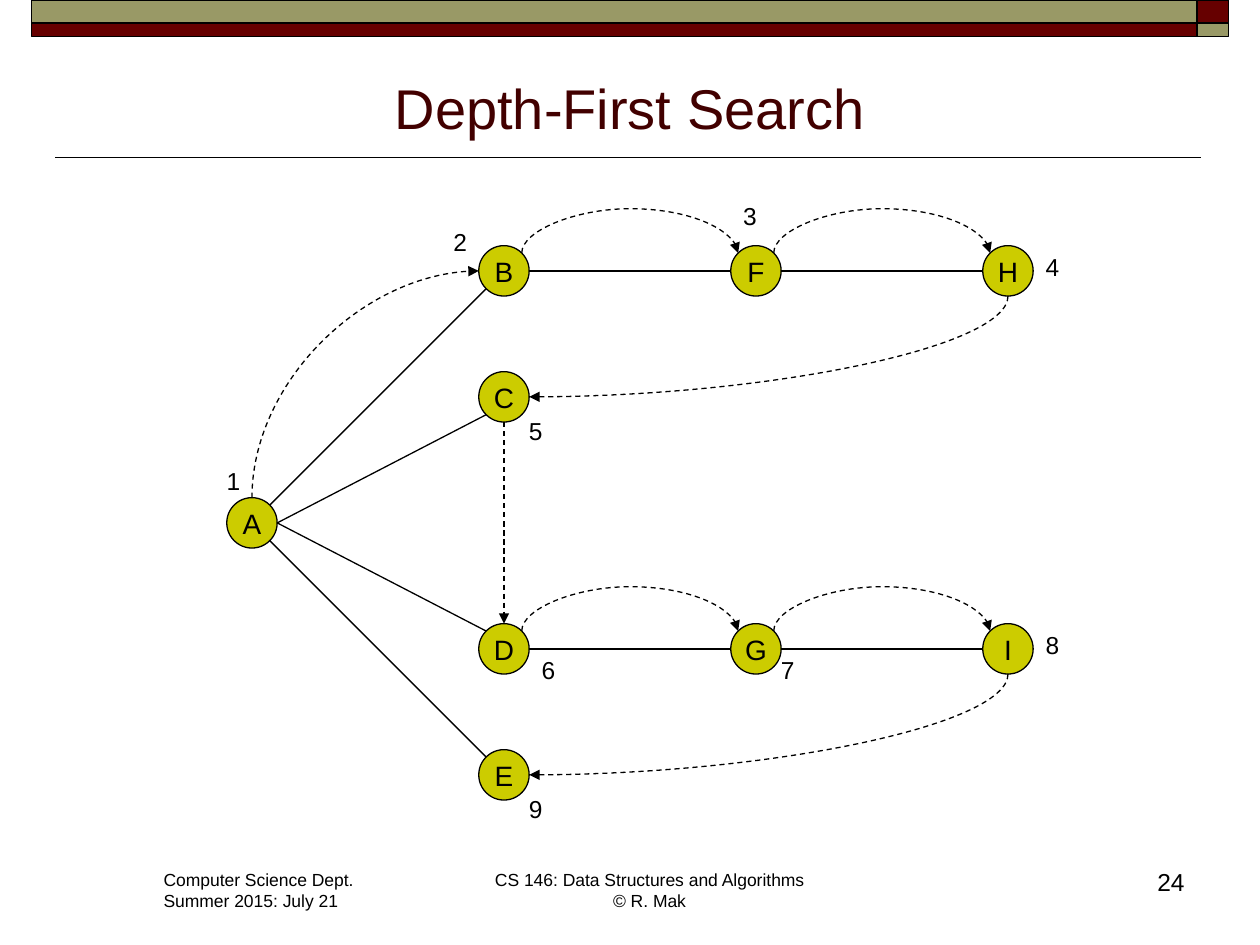
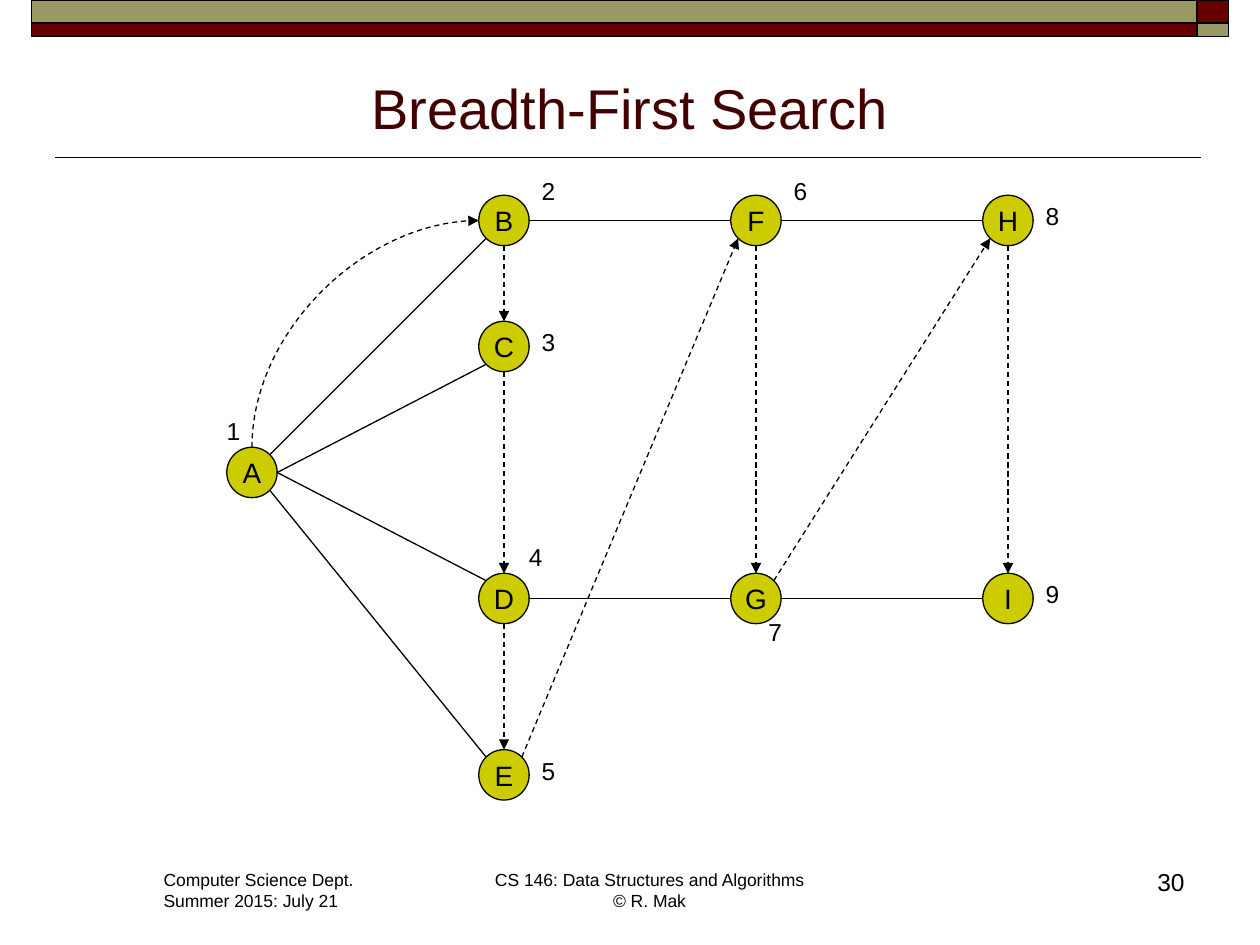
from math import cos, radians, sin

from lxml import etree
from pptx import Presentation
from pptx.dml.color import RGBColor
from pptx.enum.dml import MSO_LINE
from pptx.enum.shapes import MSO_CONNECTOR, MSO_SHAPE
from pptx.enum.text import MSO_ANCHOR, PP_ALIGN
from pptx.oxml.ns import qn
from pptx.util import Inches, Pt

BLACK = RGBColor(0x00, 0x00, 0x00)
MAROON = RGBColor(0x66, 0x00, 0x00)
KHAKI = RGBColor(0x99, 0x99, 0x66)
TITLE_COLOR = RGBColor(0x42, 0x00, 0x00)
NODE_COLOR = RGBColor(0xCC, 0xCC, 0x00)
FONT = "Arial"

STRAIGHT, CURVE = MSO_CONNECTOR.STRAIGHT, MSO_CONNECTOR.CURVE
RECT, OVAL = MSO_SHAPE.RECTANGLE, MSO_SHAPE.OVAL
LEFT, CENTER, RIGHT = PP_ALIGN.LEFT, PP_ALIGN.CENTER, PP_ALIGN.RIGHT

# Graph grid, in inches
COL, ROW, RADIUS = 2, 1, 0.2
GRAPH_LEFT = 2
ARC_RISE, ARC_DEPTH = Inches(0.31), Pt(0.1)

# Connection sites of an ellipse, counter-clockwise from the top
SITES = ["N", "NW", "W", "SW", "S", "SE", "E", "NE"]

# Node: (column, row)
NODES = {"A": (0, 2), "B": (1, 0), "F": (2, 0), "H": (3, 0), "C": (1, 1),
         "D": (1, 3), "G": (2, 3), "I": (3, 3), "E": (1, 4)}
EDGES = ["A.NE B.SW", "A.E C.SW", "A.E D.NW", "A.SE E.NW",
         "B.E F.W", "F.E H.W", "D.E G.W", "G.E I.W"]

# Visits: node and offset of its number from the node's centre
DFS_VISITS = [("A", -0.3, -0.5), ("B", -0.5, -0.4), ("F", -0.2, -0.6),
              ("H", 0.2, -0.2), ("C", 0.1, 0.1), ("D", 0.2, 0),
              ("G", 0.1, 0), ("I", 0.2, -0.2), ("E", 0.1, 0.1)]
BFS_VISITS = [("A", -0.3, -0.5), ("B", 0.2, -0.4), ("C", 0.2, -0.2),
              ("D", 0.1, -0.5), ("E", 0.2, -0.2), ("F", 0.2, -0.4),
              ("G", 0, 0.1), ("H", 0.2, -0.2), ("I", 0.2, -0.2)]

# Steps: form of the arrow and its ends
DFS_STEPS = [("quarter", "A.N B.W"), ("arc", "B.NE F.NW"),
             ("arc", "F.NE H.NW"), ("quarter", "H.S C.E"),
             ("line", "C.S D.N"), ("arc", "D.NE G.NW"),
             ("arc", "G.NE I.NW"), ("quarter", "I.S E.E")]
BFS_STEPS = [("quarter", "A.N B.W"), ("line", "B.S C.N"),
             ("line", "C.S D.N"), ("line", "D.S E.N"),
             ("line", "E.NE F.SW"), ("line", "F.S G.N"),
             ("line", "G.NE H.SW"), ("line", "H.S I.N")]


def format_text(tf, text, size, color=BLACK, align=LEFT):
    tf.text = text
    for p in tf.paragraphs:
        p.alignment = align
        p.font.name, p.font.size, p.font.color.rgb = FONT, Pt(size), color


def add_text(s, box, text, size, align=LEFT, wrap=True):
    tf = s.shapes.add_textbox(*map(Inches, box)).text_frame
    tf.word_wrap = wrap
    format_text(tf, text, size, align=align)


def add_filled(s, kind, box, fill, weight):
    sp = s.shapes.add_shape(kind, *map(Inches, box))
    sp.shadow.inherit = False
    sp.fill.solid()
    sp.fill.fore_color.rgb = fill
    sp.line.color.rgb, sp.line.width = BLACK, Pt(weight)
    return sp


def add_line(s, kind, start, end, weight):
    c = s.shapes.add_connector(kind, *start, *end)
    c.line.color.rgb, c.line.width = BLACK, Pt(weight)
    etree.SubElement(c.element.spPr, qn("a:effectLst"))
    return c


def site_point(node, site):
    """Point of a named connection site on a node's outline."""
    angle = radians(-90 - 45 * SITES.index(site))
    r = node.width / 2
    return (round(node.left + r + r * cos(angle)),
            round(node.top + r + r * sin(angle)))


def turn(c, degrees, preset):
    c.element.spPr.xfrm.set("rot", str(degrees * 60000))
    geom = c.element.spPr.find(qn("a:prstGeom"))
    geom.set("prst", preset)
    return geom


def add_quarter(s, start, end):
    """Quarter curve that leaves vertically and arrives horizontally."""
    (x1, y1), (x2, y2) = start, end
    w, h = abs(y2 - y1), abs(x2 - x1)
    left, top = (x1 + x2 - w) // 2, (y1 + y2 - h) // 2
    c = add_line(s, CURVE, (left, top), (left + w, top + h), 0.75)
    turn(c, 270 if y2 < y1 else 90, "curvedConnector2")
    return c


def add_arc(s, start, end):
    """Arc that rises over the gap between two nodes of a row."""
    (x1, y1), (x2, _) = start, end
    span = x2 - x1
    left, top = (x1 + x2 - ARC_DEPTH) // 2, y1 - span // 2
    c = add_line(s, CURVE, (left, top), (left + ARC_DEPTH, top + span), 0.75)
    geom = turn(c, 90, "curvedConnector3")
    c.element.spPr.xfrm.set("flipV", "1")
    guides = geom.find(qn("a:avLst"))
    rise = -round(ARC_RISE / ARC_DEPTH * 100000)
    etree.SubElement(guides, qn("a:gd"), name="adj1", fmla=f"val {rise}")
    return c


def join(s, nodes, ends, form="line"):
    """Connector glued to the sites named like 'A.NE B.SW'."""
    (a, a_site), (b, b_site) = [end.split(".") for end in ends.split()]
    start, end = site_point(nodes[a], a_site), site_point(nodes[b], b_site)
    if form == "quarter":
        c = add_quarter(s, start, end)
    elif form == "arc":
        c = add_arc(s, start, end)
    else:
        c = add_line(s, STRAIGHT, start, end, 0.75)
    glue = c.element.find(qn("p:nvCxnSpPr")).find(qn("p:cNvCxnSpPr"))
    for tag, name, site in (("a:stCxn", a, a_site), ("a:endCxn", b, b_site)):
        etree.SubElement(glue, qn(tag), id=str(nodes[name].shape_id),
                         idx=str(SITES.index(site)))
    return c


def add_frame(s, title, number):
    # Bands and rule
    for left, width, colors in ((0.25, 9.25, (KHAKI, MAROON)),
                                (9.5, 0.25, (MAROON, KHAKI))):
        for top, height, color in zip((0, 0.18), (0.18, 0.11), colors):
            add_filled(s, RECT, (left, top, width, height), color, 1)
    add_line(s, STRAIGHT, (Inches(0.44), Inches(1.25)),
             (Inches(9.53), Inches(1.25)), 1)
    # Title
    t = s.shapes.title
    t.left, t.top, t.width, t.height = map(Inches, (0.5, 0.45, 9, 0.72))
    t.text_frame.vertical_anchor = MSO_ANCHOR.BOTTOM
    format_text(t.text_frame, title, 32, TITLE_COLOR, CENTER)
    # Footers
    add_text(s, (1.2, 6.85, 1.73, 0.44),
             "Computer Science Dept.\nSummer 2015: July 21", 10, wrap=False)
    add_text(s, (3.82, 6.85, 2.67, 0.44),
             "CS 146: Data Structures and Algorithms\v© R. Mak", 10,
             CENTER, wrap=False)
    add_text(s, (7.42, 6.83, 2.08, 0.5), str(number), 14, RIGHT)


def add_graph(s, top, grid, visits, steps):
    """Graph whose first row of nodes is centred on top."""
    centres = {name: (GRAPH_LEFT + col * COL, top + row * ROW)
               for name, (col, row) in grid.items()}
    # Nodes
    nodes = {}
    for name, (x, y) in centres.items():
        box = (x - RADIUS, y - RADIUS, 2 * RADIUS, 2 * RADIUS)
        sp = nodes[name] = add_filled(s, OVAL, box, NODE_COLOR, 0.75)
        tf = sp.text_frame
        tf.word_wrap, tf.vertical_anchor = False, MSO_ANCHOR.MIDDLE
        format_text(tf, name, 16, align=CENTER)
    # Edges
    for ends in EDGES:
        join(s, nodes, ends)
    # Dashed steps of the traversal
    for form, ends in steps:
        c = join(s, nodes, ends, form)
        c.line.dash_style = MSO_LINE.DASH
        etree.SubElement(c.line._get_or_add_ln(), qn("a:tailEnd"),
                         type="triangle")
    # Order of the visits
    for number, (name, dx, dy) in enumerate(visits, 1):
        x, y = centres[name]
        add_text(s, (x + dx, y + dy, 0.3, 0.33), str(number), 14)


def add_search_slide(prs, title, number, top, grid, visits, steps):
    s = prs.slides.add_slide(prs.slide_layouts[5])
    add_frame(s, title, number)
    add_graph(s, top, grid, visits, steps)


def main():
    prs = Presentation()
    prs.slide_width, prs.slide_height = Inches(10), Inches(7.5)
    add_search_slide(prs, "Depth-First Search", 24, 2.15, NODES,
                     DFS_VISITS, DFS_STEPS)
    add_search_slide(prs, "Breadth-First Search", 30, 1.75,
                     {**NODES, "E": (1, 4.4)}, BFS_VISITS, BFS_STEPS)
    prs.save("out.pptx")


if __name__ == "__main__":
    main()
